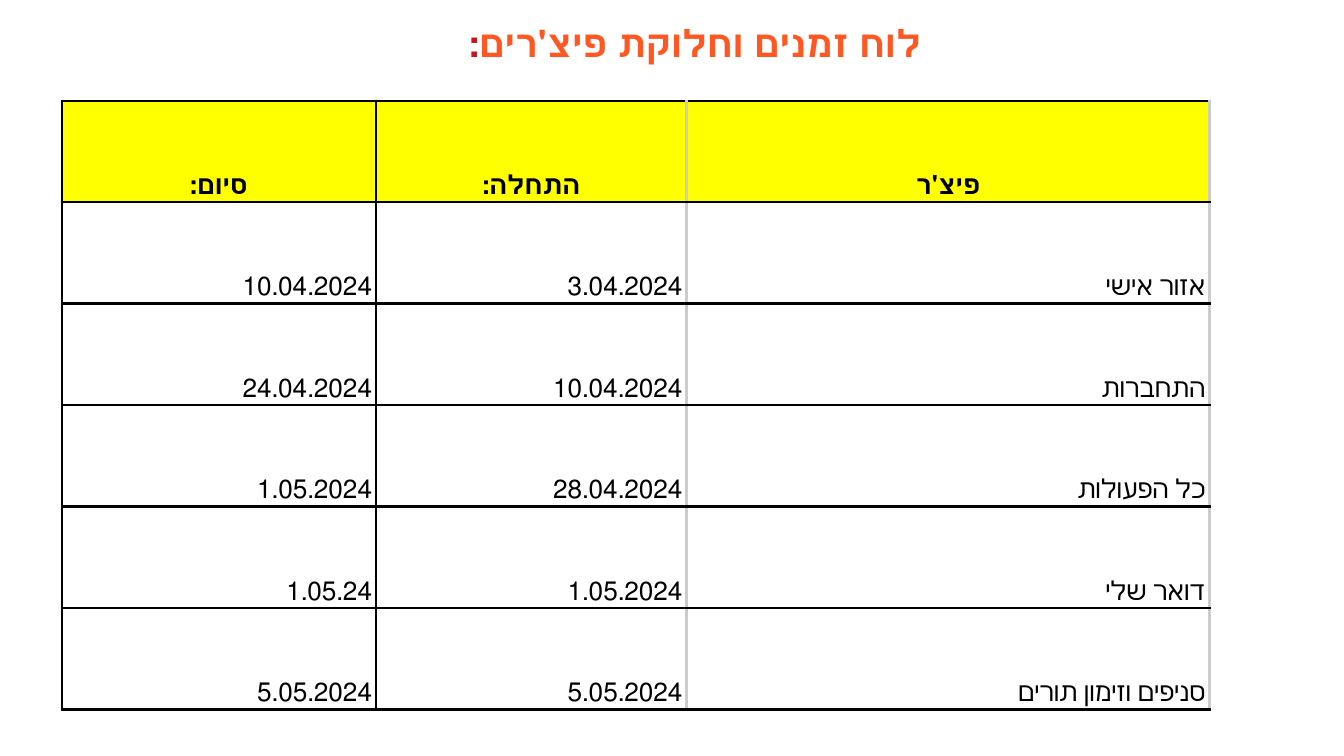
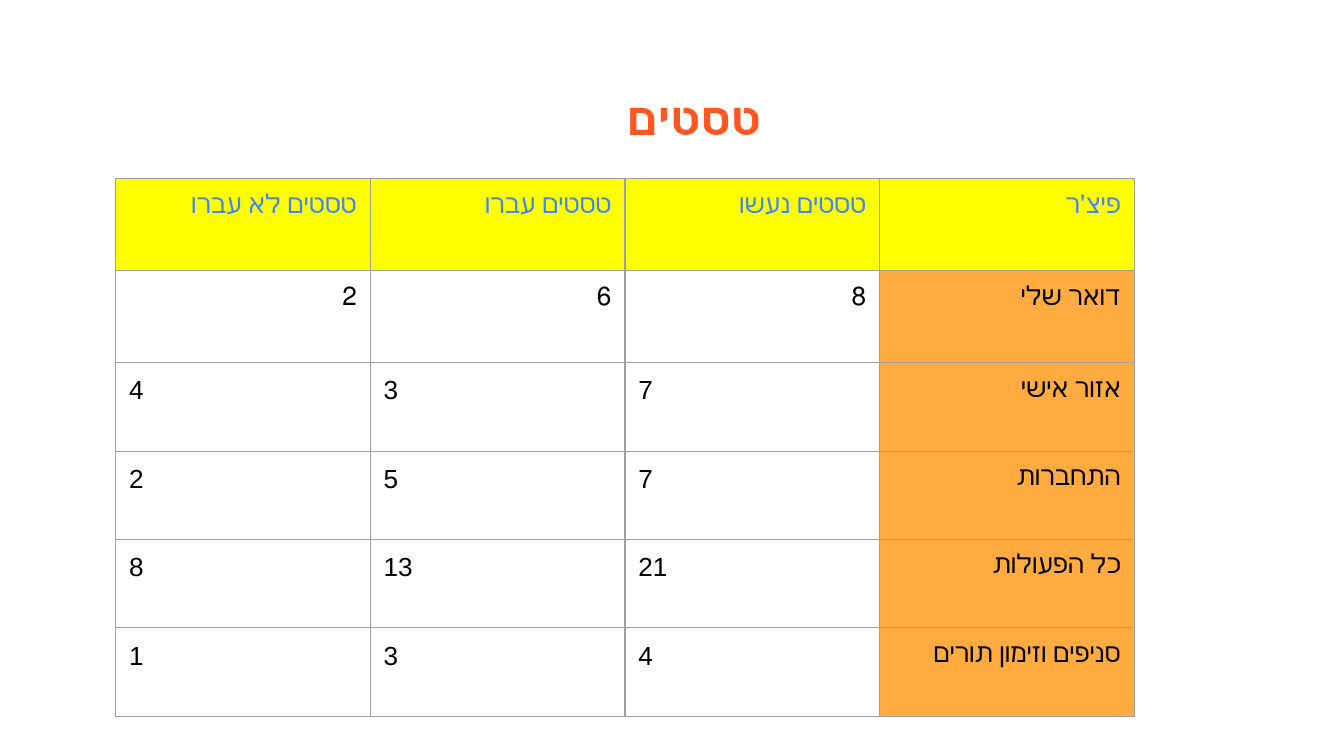
from dataclasses import dataclass

from lxml import etree
from pptx import Presentation
from pptx.dml.color import RGBColor
from pptx.enum import text
from pptx.oxml import ns
from pptx.util import Inches, Pt

RIGHT, CENTER, LEFT = text.PP_ALIGN.RIGHT, text.PP_ALIGN.CENTER, text.PP_ALIGN.LEFT


@dataclass(frozen=True)
class Theme:
    title_font: str = "TeX Gyre Bonum"
    body_font: str = "Arial"
    body_size: float = 14
    title: str = "FF5722"
    colon: str = "CA151D"
    ink: str = "000000"
    header_ink: str = "4285F4"
    header_fill: str = "FFFF00"
    feature_fill: str = "FFAB40"
    pale_line: str = "CCCCCC"
    grey_line: str = "9E9E9E"


THEME = Theme()


class Builder:
    """Holds the deck, its theme and the current page."""

    def __init__(self, theme):
        self.theme = theme
        self.deck = Presentation()
        # Widescreen, 16:9
        self.deck.slide_width = Inches(10)
        self.deck.slide_height = Inches(10) * 9 // 16
        self.page = None

    def new_page(self):
        self.page = self.deck.slides.add_slide(self.deck.slide_layouts[6])

    def style(self, para, font, size, color, bold=False, align=RIGHT, spacing=None):
        """Set a paragraph's look; all but left-aligned text runs right to left."""
        para.alignment = align
        if spacing:
            para.line_spacing = spacing
        para.font.name, para.font.size, para.font.bold = font, Pt(size), bold
        para.font.color.rgb = RGBColor.from_string(color)
        if align != LEFT:
            para._p.get_or_add_pPr().set("rtl", "1")

    def title(self, words, left, top, width, height, size, ending="", spacing=None):
        box = self.page.shapes.add_textbox(*map(Inches, (left, top, width, height)))
        frame = box.text_frame
        frame.word_wrap = True
        frame.margin_left = frame.margin_right = Inches(0.1)
        frame.margin_top = frame.margin_bottom = Inches(0.1)
        para = frame.paragraphs[0]
        para.add_run().text = words
        self.style(para, self.theme.title_font, size, self.theme.title, True, CENTER, spacing)
        if ending:
            span = para.add_run()
            span.text = ending
            span.font.color.rgb = RGBColor.from_string(self.theme.colon)

    def table(self, rows, left, top, widths, heights):
        frame = self.page.shapes.add_table(
            len(rows), len(widths), Inches(left), Inches(top),
            Inches(sum(widths)), Inches(sum(heights)))
        table = frame.table
        table.first_row = table.horz_banding = False
        for column, width in zip(table.columns, widths):
            column.width = Inches(width)
        for row, height in zip(table.rows, heights):
            row.height = Inches(height)
        for r, row in enumerate(rows):
            for c, words in enumerate(row):
                table.cell(r, c).text = words
        return table

    def cell(self, cell, fill, margins, anchor, **look):
        cell.margin_left = cell.margin_right = Inches(margins[0])
        cell.margin_top = cell.margin_bottom = Inches(margins[1])
        cell.vertical_anchor = anchor
        if fill:
            cell.fill.solid()
            cell.fill.fore_color.rgb = RGBColor.from_string(fill)
        else:
            cell.fill.background()
        self.style(cell.text_frame.paragraphs[0], self.theme.body_font,
                   self.theme.body_size, **look)

    def borders(self, cell, left, right, level, width):
        props = cell._tc.get_or_add_tcPr()
        sides = zip(("lnL", "lnR", "lnT", "lnB"), (left, right, level, level))
        for place, (side, color) in enumerate(sides):
            line = etree.Element(ns.qn(f"a:{side}"), w=str(Pt(width)))
            fill = etree.SubElement(line, ns.qn("a:solidFill"))
            etree.SubElement(fill, ns.qn("a:srgbClr")).set("val", color)
            props.insert(place, line)


def schedule_page(builder):
    theme = builder.theme
    builder.new_page()
    builder.title("לוח זמנים וחלוקת פיצ'רים", 2.92, 0.05, 4.51, 1.14, 20, ending=":")
    rows = [
        ("סיום:", "התחלה:", "פיצ'ר"),
        ("10.04.2024", "3.04.2024", "אזור אישי"),
        ("24.04.2024", "10.04.2024", "התחברות"),
        ("1.05.2024", "28.04.2024", "כל הפעולות"),
        ("1.05.24", "1.05.2024", "דואר שלי"),
        ("5.05.2024", "5.05.2024", "סניפים וזימון תורים"),
    ]
    table = builder.table(rows, 0.46, 0.75, (2.34, 2.31, 3.89), [4.53 / 6] * 6)
    # Vertical rules, left to right
    rules = (theme.ink, theme.ink, theme.pale_line, theme.pale_line)
    for r in range(len(rows)):
        header = r == 0
        for c in range(3):
            cell = table.cell(r, c)
            last = (r, c) == (len(rows) - 1, 2)
            builder.cell(cell, theme.header_fill if header else None, (0.03, 0.02),
                         text.MSO_ANCHOR.BOTTOM, color=theme.ink, bold=header,
                         align=CENTER if header else RIGHT,
                         spacing=None if last else 1.15)
            builder.borders(cell, rules[c], rules[c + 1], theme.ink, 1.5)


def tests_page(builder):
    theme = builder.theme
    builder.new_page()
    builder.title("טסטים", 3.78, 0.51, 2.77, 0.63, 24.3, spacing=1.15)
    rows = [
        ("טסטים לא עברו", "טסטים עברו", "טסטים נעשו", "פיצ'ר"),
        ("2", "6", "8", "דואר שלי"),
        ("4", "3", "7", "אזור אישי"),
        ("2", "5", "7", "התחברות"),
        ("8", "13", "21", "כל הפעולות"),
        ("1", "3", "4", "סניפים וזימון תורים"),
    ]
    table = builder.table(rows, 0.86, 1.33, [7.58 / 4] * 4,
                          [1.37 / 2] * 2 + [2.63 / 4] * 4)
    for r in range(len(rows)):
        for c in range(4):
            cell = table.cell(r, c)
            feature = c == 3
            if r == 0:
                fill, color = theme.header_fill, theme.header_ink
            else:
                fill, color = theme.feature_fill if feature else None, theme.ink
            builder.cell(cell, fill, (0.1, 0.1), text.MSO_ANCHOR.TOP, color=color,
                         align=RIGHT if feature or r < 2 else LEFT)
            builder.borders(cell, *[theme.grey_line] * 3, 0.75)


def main():
    builder = Builder(THEME)
    schedule_page(builder)
    tests_page(builder)
    builder.deck.save("out.pptx")


if __name__ == "__main__":
    main()
